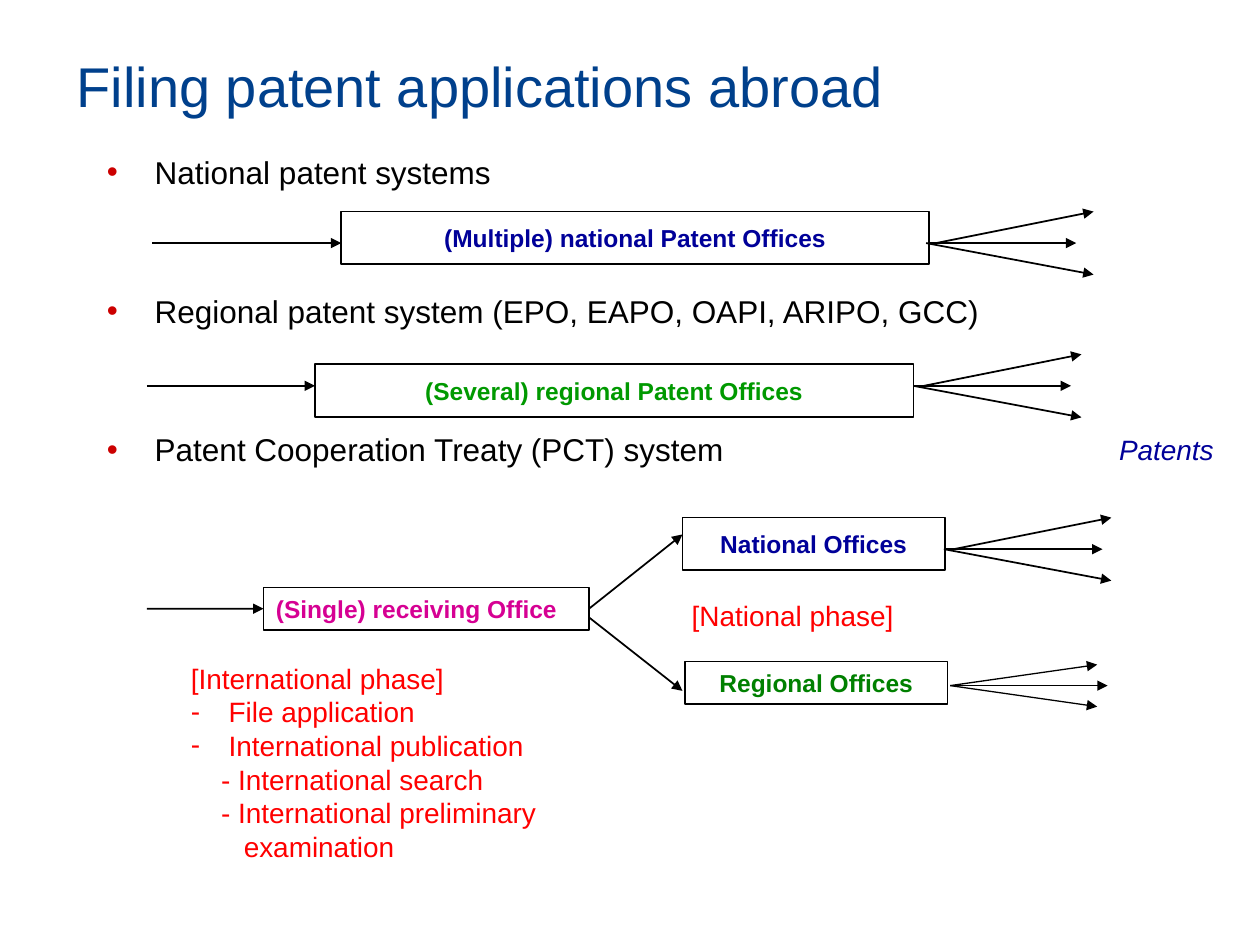
from dataclasses import dataclass

from lxml import etree
from pptx import Presentation
from pptx import util as u
from pptx.dml.color import RGBColor
from pptx.enum import shapes, text
from pptx.oxml.ns import qn

WIDTH, HEIGHT = u.Inches(10), u.Inches(7.5)
COLUMN, ROW = WIDTH / 120, HEIGHT / 90

BLACK = RGBColor(0x00, 0x00, 0x00)
TITLE_BLUE = RGBColor(0x00, 0x40, 0x8C)
NAVY = RGBColor(0x00, 0x00, 0x99)
BRIGHT_GREEN = RGBColor(0x00, 0x99, 0x00)
GREEN = RGBColor(0x00, 0x80, 0x00)
MAGENTA = RGBColor(0xD6, 0x00, 0x93)
RED = RGBColor(0xFF, 0x00, 0x00)
BULLET_RED = RGBColor(0xCC, 0x00, 0x00)


@dataclass(frozen=True)
class Area:
    """A rectangle in columns and rows."""
    column: float
    row: float
    columns: float
    rows: float

    def lengths(self):
        return (u.Emu(round(self.column * COLUMN)), u.Emu(round(self.row * ROW)),
                u.Emu(round(self.columns * COLUMN)), u.Emu(round(self.rows * ROW)))


@dataclass(frozen=True)
class Office:
    label: str
    area: Area
    color: RGBColor
    align: text.PP_ALIGN = text.PP_ALIGN.CENTER


@dataclass(frozen=True)
class Fan:
    """Three arrows: a level one, and two that spread by `rise` rows."""
    row: float
    start: float
    end: float
    upper_start: float
    lower_start: float
    tip: float
    rise: float = 3
    outer_weight: float = 1


@dataclass(frozen=True)
class Item:
    words: str
    margin: float = 0
    hanging: float = 0
    bullet: str = ""


OFFICES = {
    "multiple": Office("(Multiple) national Patent Offices", Area(32.5, 20.15, 56, 5), NAVY),
    "several": Office("(Several) regional Patent Offices", Area(30, 34.7, 57, 5), BRIGHT_GREEN),
    "national": Office("National Offices", Area(65, 49.3, 25, 5), NAVY),
    "regional": Office("Regional Offices", Area(65.25, 63, 25, 4.05), GREEN),
    "receiving": Office("(Single) receiving Office", Area(25.1, 55.95, 31, 4.05),
                        MAGENTA, text.PP_ALIGN.LEFT),
}

FANS = [
    Fan(23.15, 88.5, 102.5, 89.15, 88.2, 104.15),
    Fan(36.75, 87, 102, 88, 87, 103),
    Fan(52.3, 90, 105, 90.85, 89.9, 105.85),
    Fan(65.3, 90.5, 105.5, 90.5, 90.5, 104.5, rise=2, outer_weight=0.75),
]

SYSTEMS = [Item(words, 0.38, 0.38, "•") for words in (
    "National patent systems",
    "Regional patent system (EPO, EAPO, OAPI, ARIPO, GCC)",
    "Patent Cooperation Treaty (PCT) system",
)]

INTERNATIONAL_PHASE = [
    Item("[International phase]"),
    Item("File application", 0.3, 0.3, "-"),
    Item("International publication", 0.3, 0.3, "-"),
    Item("- International search", 0.42, 0.18),
    Item("- International preliminary examination", 0.42, 0.18),
]


def set_bullet(paragraph, item: Item, color: RGBColor) -> None:
    properties = paragraph._p.get_or_add_pPr()
    properties.set("marL", str(u.Inches(item.margin)))
    properties.set("indent", str(-u.Inches(item.hanging)))
    if item.bullet:
        bullet_color = etree.SubElement(properties, qn("a:buClr"))
        etree.SubElement(bullet_color, qn("a:srgbClr"), val=str(color))
        etree.SubElement(properties, qn("a:buFont"), typeface="Arial")
        etree.SubElement(properties, qn("a:buChar"), char=item.bullet)
    else:
        etree.SubElement(properties, qn("a:buNone"))


def write(frame, items: list[Item], *, size: float, color: RGBColor,
          bullet_color: RGBColor = RED, bold: bool = False, italic: bool = False,
          align=text.PP_ALIGN.LEFT, anchor=text.MSO_ANCHOR.TOP,
          gap: float = 0, wrap: bool = True) -> None:
    frame.word_wrap = wrap
    frame.auto_size = text.MSO_AUTO_SIZE.NONE
    frame.vertical_anchor = anchor
    for index, item in enumerate(items):
        paragraph = frame.add_paragraph() if index else frame.paragraphs[0]
        set_bullet(paragraph, item, bullet_color)
        paragraph.alignment = align
        paragraph.space_before = u.Pt(gap if index else 0)
        run = paragraph.add_run()
        run.text = item.words
        font = run.font
        font.name, font.size = "Arial", u.Pt(size)
        font.bold, font.italic = bold, italic
        font.color.rgb = color


def add_note(slide, area: Area, items: list[Item], **text_format) -> None:
    write(slide.shapes.add_textbox(*area.lengths()).text_frame, items, **text_format)


def add_office(slide, office: Office):
    box = slide.shapes.add_shape(shapes.MSO_SHAPE.RECTANGLE, *office.area.lengths())
    box.shadow.inherit = False
    box.fill.background()
    box.line.color.rgb = BLACK
    box.line.width = u.Pt(1)
    write(box.text_frame, [Item(office.label)], size=14, color=office.color, bold=True,
          align=office.align, anchor=text.MSO_ANCHOR.MIDDLE, wrap=False)
    return box


def add_arrow(slide, start: tuple[float, float], end: tuple[float, float],
              weight: float = 1):
    points = [u.Emu(round(steps * unit)) for point in (start, end)
              for steps, unit in zip(point, (COLUMN, ROW))]
    arrow = slide.shapes.add_connector(shapes.MSO_CONNECTOR.STRAIGHT, *points)
    arrow.line.color.rgb = BLACK
    arrow.line.width = u.Pt(weight)
    etree.SubElement(arrow.line._get_or_add_ln(), qn("a:tailEnd"), type="triangle")
    etree.SubElement(arrow._element.spPr, qn("a:effectLst"))
    return arrow


def add_fan(slide, fan: Fan) -> None:
    add_arrow(slide, (fan.start, fan.row), (fan.end, fan.row))
    for start, rise in ((fan.upper_start, -fan.rise), (fan.lower_start, fan.rise)):
        add_arrow(slide, (start, fan.row), (fan.tip, fan.row + rise), fan.outer_weight)


def main() -> None:
    deck = Presentation()
    deck.slide_width, deck.slide_height = WIDTH, HEIGHT
    slide = deck.slides.add_slide(deck.slide_layouts[5])

    title = slide.shapes.title
    title.left, title.top, title.width, title.height = Area(6.1, 3.4, 108, 9.5).lengths()
    write(title.text_frame, [Item("Filing patent applications abroad")], size=32,
          color=TITLE_BLUE, anchor=text.MSO_ANCHOR.MIDDLE)

    add_note(slide, Area(9, 14, 97, 28), SYSTEMS, size=18, color=BLACK,
             bullet_color=BULLET_RED, gap=57.6)
    add_note(slide, Area(64.7, 56.4, 29, 4.4), [Item("[National phase]")],
             size=16, color=RED)
    add_note(slide, Area(105.4, 40.6, 12.7, 4.4), [Item("Patents")],
             size=16, color=NAVY, italic=True)
    add_note(slide, Area(17, 62.4, 42, 20.4), INTERNATIONAL_PHASE, size=16, color=RED)

    boxes = {name: add_office(slide, office) for name, office in OFFICES.items()}
    receiving = boxes["receiving"]

    add_arrow(slide, (14.5, 23.15), (32.5, 23.15))
    add_arrow(slide, (14, 36.75), (30, 36.75))
    add_arrow(slide, (14, 57.98), (25.1, 57.98)).end_connect(receiving, 1)
    add_arrow(slide, (56.1, 57.98), (65, 50.9)).begin_connect(receiving, 3)
    add_arrow(slide, (56.1, 58.8), (65, 65.8))
    for fan in FANS:
        add_fan(slide, fan)

    deck.save("out.pptx")


if __name__ == "__main__":
    main()
